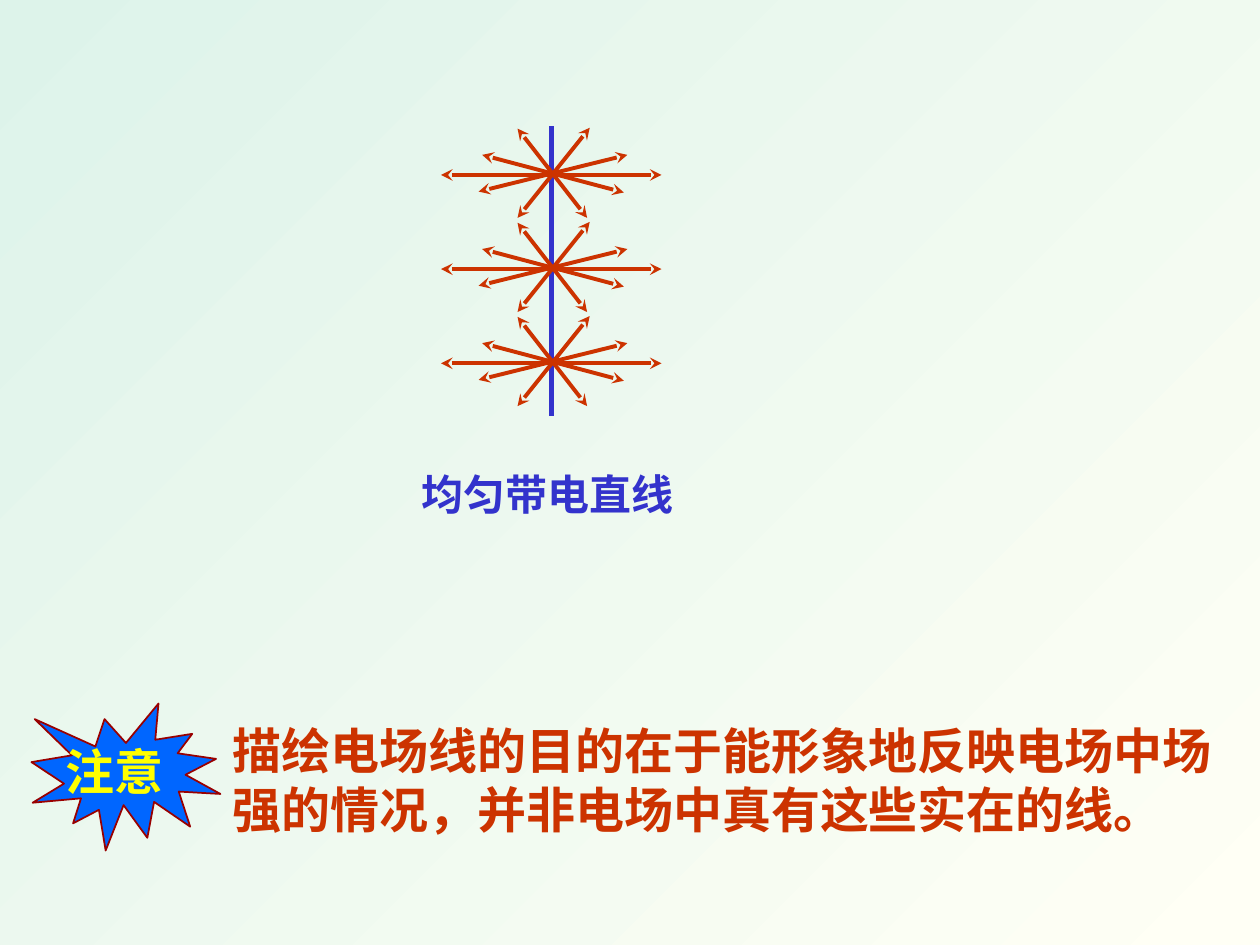
from lxml.etree import SubElement
from pptx import Presentation
from pptx.dml.color import RGBColor
from pptx.enum.shapes import MSO_CONNECTOR, MSO_SHAPE
from pptx.oxml.ns import qn
from pptx.util import Pt

BLUE = RGBColor(0x33, 0x33, 0xCC)
RED = RGBColor(0xCC, 0x33, 0x00)
YELLOW = RGBColor(0xFF, 0xFF, 0x00)
SEAL_FILL = RGBColor(0x00, 0x66, 0xFF)
SEAL_LINE = RGBColor(0x99, 0x00, 0x00)
MINT = RGBColor(0xDD, 0xF3, 0xEA)
IVORY = RGBColor(0xFF, 0xFF, 0xF5)
LATIN_FONT = "Times New Roman"
CHINESE_FONT = "Noto Sans CJK SC"

# Field lines of one star: start and end, relative to its top left corner
FIELD_LINES = [
    ((0, 27), (126, 27)),
    ((21.5, 36.5), (106.5, 15.5)),
    ((23.5, 15.5), (104.5, 37)),
    ((43.75, 0.5), (83.5, 51.5)),
    ((85, 0), (43.75, 51.5)),
]
STAR_COUNT = 3
STAR_PITCH = 53.8


def paint_background(page):
    fill = page.background.fill
    fill.gradient()
    fill.gradient_angle = 315
    for stop, color, position in zip(fill.gradient_stops, (MINT, IVORY), (0, 1)):
        stop.color.rgb = color
        stop.position = position


def add_line(shapes, start, end, color, width, arrows=False):
    line = shapes.add_connector(
        MSO_CONNECTOR.STRAIGHT, *(Pt(value) for value in (*start, *end)))
    line.line.color.rgb = color
    line.line.width = Pt(width)
    if arrows:
        outline = line.line._get_or_add_ln()
        for tag in ("a:headEnd", "a:tailEnd"):
            SubElement(outline, qn(tag), type="stealth")
    SubElement(line._element.spPr, qn("a:effectLst"))


def add_label(page, box, text, size, color, font=LATIN_FONT):
    label = page.shapes.add_textbox(*(Pt(value) for value in box))
    frame = label.text_frame
    frame.word_wrap = True
    span = frame.paragraphs[0].add_run()
    span.text = text
    span.font.size = Pt(size)
    span.font.bold = True
    span.font.color.rgb = color
    span.font.name = font
    SubElement(span.font._element, qn("a:ea"), typeface=CHINESE_FONT)
    return label


def add_charged_line(page, box):
    left, top, width, height = box
    group = page.shapes.add_group_shape()

    # Charged line
    middle = left + width / 2
    add_line(group.shapes, (middle, top), (middle, top + height), BLUE, 3)

    # Stars of field lines along it
    for index in range(STAR_COUNT):
        star_top = top + 1 + index * STAR_PITCH
        for ends in FIELD_LINES:
            start, end = [(left + x, star_top + y) for x, y in ends]
            add_line(group.shapes, start, end, RED, 2.25, arrows=True)

    # Caption
    add_label(page, (left - 18, top + 192, 168, 28), "均匀带电直线", 24, BLUE)


def add_notice(page, box):
    left, top, width, height = box

    # Explanation
    add_label(page, (left + 108, top + 6, width - 108, 74),
              "描绘电场线的目的在于能形象地反映电场中场强的情况，并非电场中真有这些实在的线。",
              28, RED)

    # Seal with its word
    seal = page.shapes.add_shape(
        MSO_SHAPE.EXPLOSION1, Pt(left), Pt(top), Pt(108), Pt(height))
    seal.shadow.inherit = False
    seal.fill.solid()
    seal.fill.fore_color.rgb = SEAL_FILL
    seal.line.color.rgb = SEAL_LINE
    seal.line.width = Pt(1)
    word = add_label(page, (left + 6, top + 18, 108, 41), "注意", 28, YELLOW,
                     CHINESE_FONT)
    word.text_frame.margin_left = Pt(13.5)


def main():
    deck = Presentation()
    deck.slide_width, deck.slide_height = Pt(720), Pt(540)
    page = deck.slides.add_slide(deck.slide_layouts[6])
    paint_background(page)
    add_charged_line(page, (252, 72, 126, 166))
    add_notice(page, (18, 402, 702, 84))
    deck.save("out.pptx")


if __name__ == "__main__":
    main()
